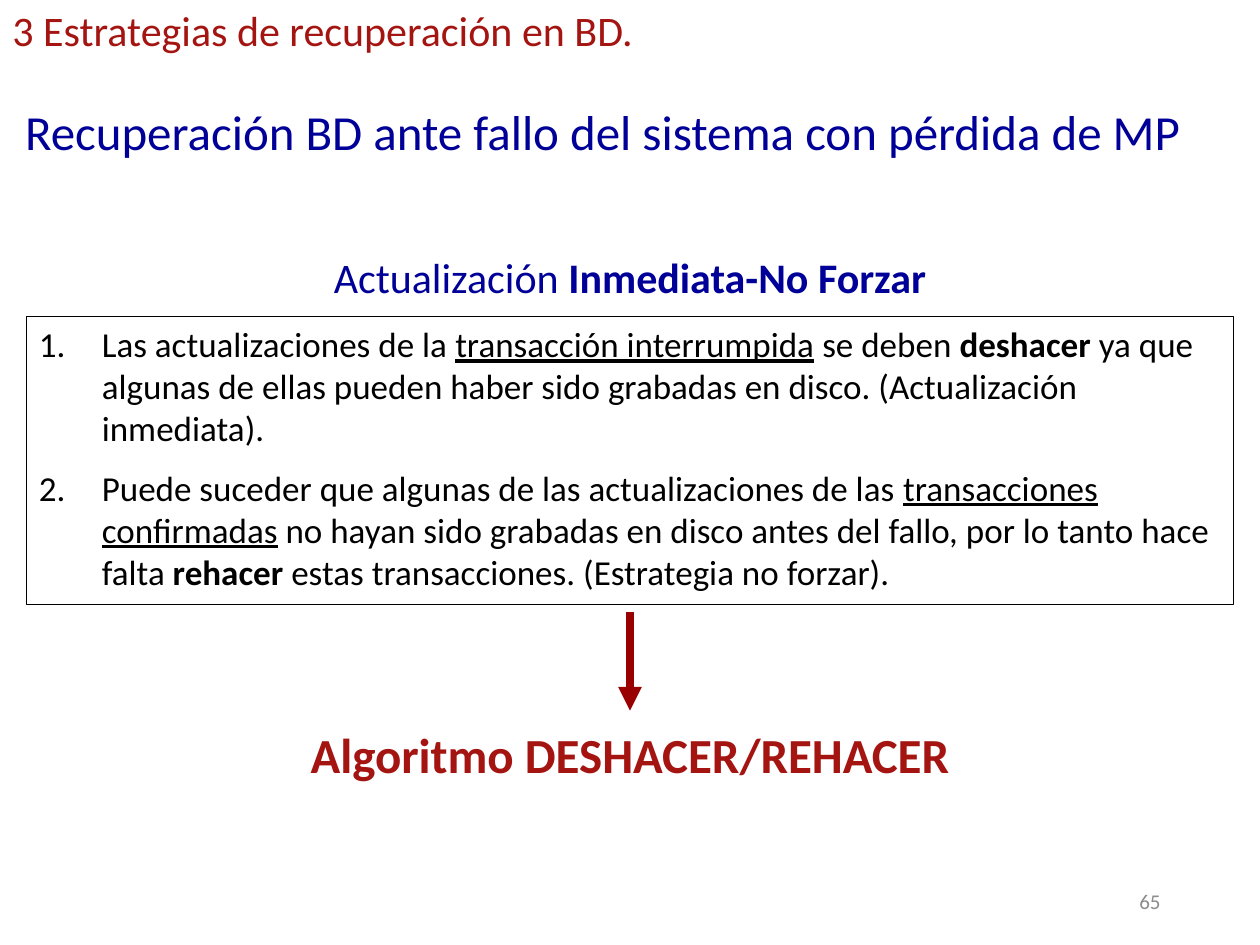
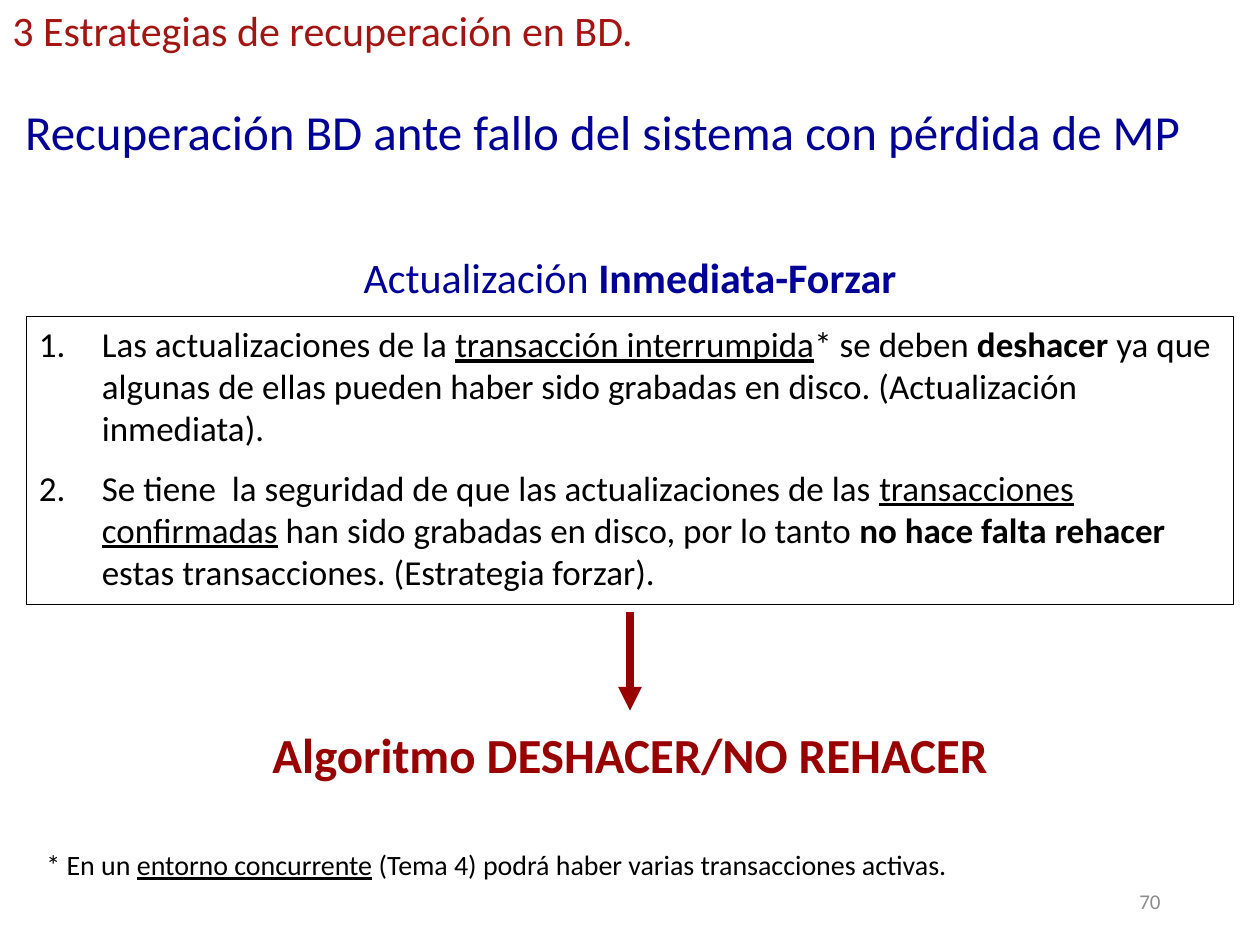
from dataclasses import dataclass
from typing import NamedTuple

from lxml import etree
from pptx import Presentation
from pptx.dml.color import RGBColor
from pptx.enum.shapes import MSO_CONNECTOR, MSO_SHAPE
from pptx.enum.text import MSO_ANCHOR, MSO_AUTO_SIZE, PP_ALIGN
from pptx.oxml.ns import qn
from pptx.util import Inches, Pt

LEFT, CENTER, RIGHT = PP_ALIGN.LEFT, PP_ALIGN.CENTER, PP_ALIGN.RIGHT
TOP, MIDDLE = MSO_ANCHOR.TOP, MSO_ANCHOR.MIDDLE
GROW, FIXED = MSO_AUTO_SIZE.SHAPE_TO_FIT_TEXT, MSO_AUTO_SIZE.NONE
LINE, RECT = MSO_CONNECTOR.STRAIGHT, MSO_SHAPE.RECTANGLE


@dataclass(frozen=True)
class Theme:
    font: str = "Calibri"
    red: str = "A41512"
    dark: str = "990000"
    blue: str = "000099"
    black: str = "000000"
    gray: str = "8C8C8C"
    head: int = 28
    title: int = 24
    body: int = 20
    note: int = 16
    page: int = 12
    gap: int = 10


THEME = Theme()


class Run(NamedTuple):
    text: str
    bold: bool = False
    underline: bool = False


class Style(NamedTuple):
    """Place in inches, then the look of the text."""
    at: tuple[float, float, float, float]
    size: int
    color: str
    align: PP_ALIGN = LEFT
    side: float = 0.1
    anchor: MSO_ANCHOR = TOP
    fit: MSO_AUTO_SIZE = GROW
    wrap: bool = True


class Case(NamedTuple):
    """What differs from one recovery strategy to the next."""
    page: str
    mode: str
    items: list[list[Run]]
    result: str
    tint: str
    note: list[Run]


PAGE = Style((7.06, 6.95, 2.25, 0.4), THEME.page, THEME.gray, RIGHT,
             anchor=MIDDLE, fit=FIXED)
TITLE = Style((0, -0.01, 5.17, 0.5), THEME.title, THEME.red, wrap=False)
HEAD = Style((0.2, 0.76, 9.5, 0.57), THEME.head, THEME.blue, side=0)
MODE = Style((0.81, 1.95, 8.38, 0.51), THEME.title, THEME.blue, CENTER)
BODY = Style((0.21, 2.51, 9.58, 2.29), THEME.body, THEME.black)
RESULT = Style((1.38, 5.7, 7.24, 0.57), THEME.head, THEME.red, CENTER, side=0)
NOTE = Style((0.27, 6.68, 8.48, 0.37), THEME.note, THEME.black)

UNDO = "Las actualizaciones de la "
STOPPED = Run("transacción interrumpida", underline=True)
DONE = Run("transacciones confirmadas", underline=True)
REASON = Run(" ya que algunas de ellas pueden haber sido grabadas en disco. "
             "(Actualización inmediata).")

CASES = [
    Case("65", "Inmediata-No Forzar", [
        [Run(UNDO), STOPPED, Run(" se deben "), Run("deshacer", bold=True), REASON],
        [Run("Puede suceder que algunas de las actualizaciones de las "), DONE,
         Run(" no hayan sido grabadas en disco antes del fallo, "
             "por lo tanto hace falta "),
         Run("rehacer", bold=True),
         Run(" estas transacciones. (Estrategia no forzar).")],
    ], "Algoritmo DESHACER/REHACER", THEME.red, []),
    Case("70", "Inmediata-Forzar", [
        [Run(UNDO), STOPPED, Run("* se deben "), Run("deshacer", bold=True), REASON],
        [Run("Se tiene  la seguridad de que las actualizaciones de las "), DONE,
         Run(" han sido grabadas en disco, por lo tanto "),
         Run("no hace falta rehacer ", bold=True),
         Run("estas transacciones. (Estrategia forzar).")],
    ], "Algoritmo DESHACER/NO REHACER", THEME.dark, [
        Run("* En un "), Run("entorno concurrente", underline=True),
        Run(" (Tema 4) podrá haber varias transacciones activas."),
    ]),
]


def assign(target, values: dict) -> None:
    for name, value in values.items():
        setattr(target, name, value)


def fill_text(shape, style: Style, paras: list[list[Run]]) -> None:
    frame = shape.text_frame
    assign(frame, {
        "word_wrap": style.wrap, "auto_size": style.fit,
        "vertical_anchor": style.anchor,
        "margin_left": Inches(style.side), "margin_right": Inches(style.side),
        "margin_top": Inches(0.05), "margin_bottom": Inches(0.05),
    })
    for i, runs in enumerate(paras):
        para = frame.add_paragraph() if i else frame.paragraphs[0]
        assign(para, {"alignment": style.align,
                      "space_before": Pt(THEME.gap if i else 0)})
        for run in runs:
            part = para.add_run()
            part.text = run.text
            assign(part.font, {"name": THEME.font, "size": Pt(style.size),
                               "bold": run.bold, "underline": run.underline})
            part.font.color.rgb = RGBColor.from_string(style.color)


def add_text(slide, style: Style, *runs: Run) -> None:
    box = slide.shapes.add_textbox(*map(Inches, style.at))
    fill_text(box, style, [list(runs)])


def add_list(slide, items: list[list[Run]]) -> None:
    """Draw the framed, numbered list."""
    box = slide.shapes.add_shape(RECT, *map(Inches, BODY.at))
    box.shadow.inherit = False
    box.fill.background()
    box.line.color.rgb = RGBColor.from_string(THEME.black)
    box.line.width = Pt(0.75)
    fill_text(box, BODY, items)
    for para in box.text_frame.paragraphs:
        props = para._p.get_or_add_pPr()
        props.set("marL", str(Inches(0.5)))
        props.set("indent", str(Inches(-0.5)))
        etree.SubElement(props, qn("a:buFont"), typeface="+mj-lt")
        etree.SubElement(props, qn("a:buAutoNum"), type="arabicPeriod")


def add_arrow(slide) -> None:
    ends = map(Inches, (5, 4.86, 5, 5.64))
    arrow = slide.shapes.add_connector(LINE, *ends)
    arrow.line.color.rgb = RGBColor.from_string(THEME.dark)
    arrow.line.width = Pt(4.5)
    etree.SubElement(arrow.line._get_or_add_ln(), qn("a:tailEnd"), type="triangle")
    etree.SubElement(arrow._element.spPr, qn("a:effectLst"))


def add_case(deck, case: Case) -> None:
    slide = deck.slides.add_slide(deck.slide_layouts[6])
    add_text(slide, PAGE, Run(case.page))
    add_text(slide, TITLE, Run("3 Estrategias de recuperación en BD."))
    add_text(slide, HEAD,
             Run("Recuperación BD ante fallo del sistema con pérdida de MP"))
    add_text(slide, MODE, Run("Actualización "), Run(case.mode, bold=True))
    add_list(slide, case.items)
    add_arrow(slide)
    add_text(slide, RESULT._replace(color=case.tint), Run(case.result, bold=True))
    if case.note:
        add_text(slide, NOTE, *case.note)


def main() -> None:
    deck = Presentation()
    assign(deck, {"slide_width": Inches(10), "slide_height": Inches(7.5)})
    for case in CASES:
        add_case(deck, case)
    deck.save("out.pptx")


if __name__ == "__main__":
    main()
